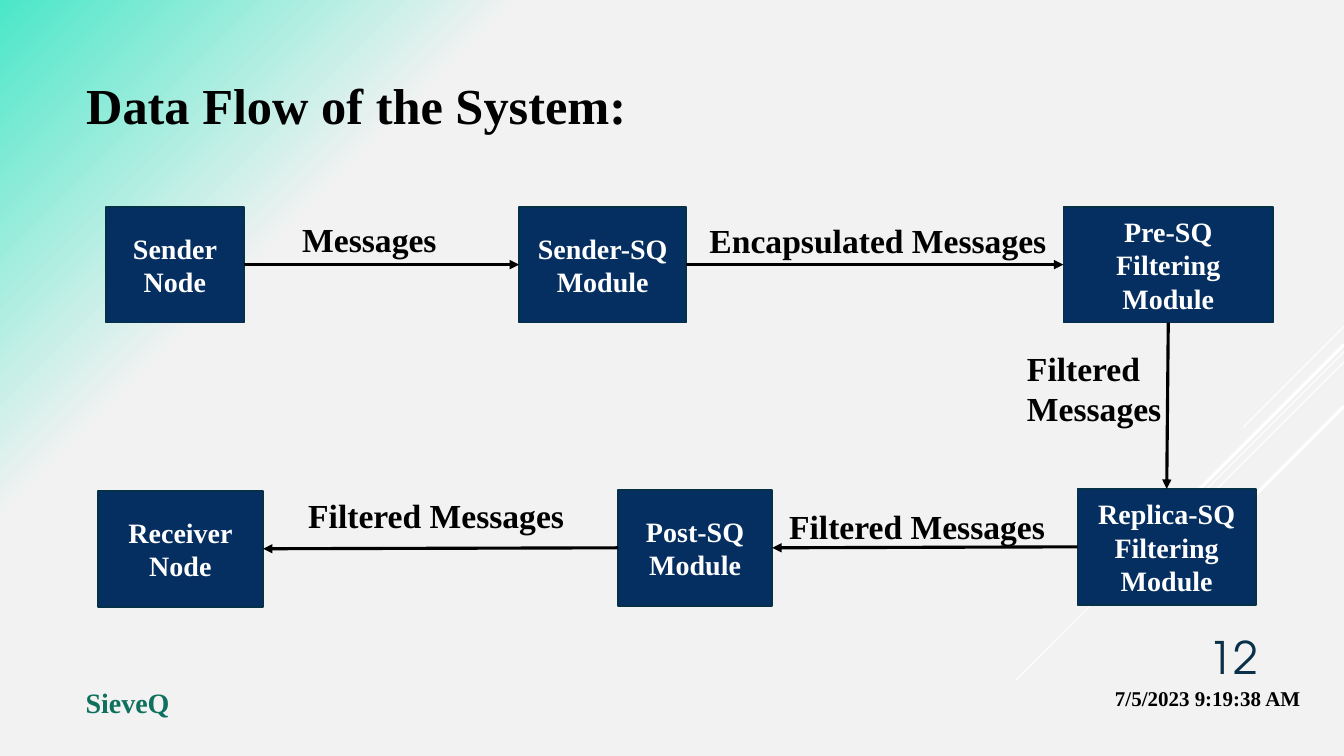
from pptx import Presentation
from pptx.dml.color import RGBColor
from pptx.enum.shapes import MSO_CONNECTOR as Link, MSO_SHAPE as Preset
from pptx.enum.text import MSO_ANCHOR as Anchor, MSO_AUTO_SIZE as Fit, PP_ALIGN as Align
from pptx.oxml import parse_xml
from pptx.oxml.ns import nsdecls, qn
from pptx.util import Pt

COLORS = {
    "ground": "F2F2F2", "mint": "4BE7C8", "white": "FFFFFF", "black": "000000",
    "navy": "052F61", "edge": "043148", "green": "0F705D", "number": "0A304A",
}
SERIF = "Times New Roman"
WIDTH, HEIGHT = 960, 540
TOP, LEFT, BOTTOM, RIGHT = range(4)
NODE_HEIGHT = 82.8


def color(key):
    return RGBColor.from_string(COLORS[key])


def write(frame, text, size, ink, align=Align.LEFT, font=SERIF, bold=True):
    frame.text = text
    for paragraph in frame.paragraphs:
        paragraph.alignment = align
        paragraph.font.name = font
        paragraph.font.size = Pt(size)
        paragraph.font.bold = bold
        paragraph.font.color.rgb = color(ink)


def add_label(slide, box, text, size, ink, **style):
    frame = slide.shapes.add_textbox(*map(Pt, box)).text_frame
    frame.word_wrap = True
    write(frame, text, size, ink, **style)
    return frame


def add_line(slide, ends, ink, weight):
    line = slide.shapes.add_connector(Link.STRAIGHT, *map(Pt, ends))
    line.line.color.rgb = color(ink)
    line.line.width = Pt(weight)
    line.element.spPr.append(parse_xml(f"<a:effectLst {nsdecls('a')}/>"))
    return line


def add_backdrop(slide, box):
    left, top, width, height = box
    slide.background.fill.gradient()
    gradient = slide.element.find(f".//{qn('p:bgPr')}/{qn('a:gradFill')}")
    stops = "".join(
        f'<a:gs pos="{place * 1000}"><a:srgbClr val="{COLORS[key]}"/></a:gs>'
        for place, key in ((75, "ground"), (100, "mint")))
    gradient.getparent().replace(gradient, parse_xml(
        f'<a:gradFill {nsdecls("a")} rotWithShape="1"><a:gsLst>{stops}</a:gsLst>'
        '<a:path path="circle"><a:fillToRect l="100000" t="100000"/></a:path>'
        '<a:tileRect r="-100000" b="-100000"/></a:gradFill>'))
    right = left + width
    for start, reach, weight in ((233.3, 72, 0.75), (251.3, 234.7, 0.75), (258.5, 149, 0.75),
                                 (246.2, 137.5, 2.25), (290.2, 100, 2.25)):
        y = top + start
        add_line(slide, (right, y, right - reach, y + reach), "white", weight)


def add_title(slide, box):
    title = slide.shapes.title
    title.left, title.top, title.width, title.height = map(Pt, box)
    frame = title.text_frame
    frame.word_wrap = True
    frame.auto_size = Fit.SHAPE_TO_FIT_TEXT
    write(frame, "Data Flow of the System:", 36, "black", Align.CENTER)
    outline = parse_xml(
        f'<a:ln {nsdecls("a")} w="{Pt(0.75)}"><a:solidFill>'
        f'<a:srgbClr val="{COLORS["black"]}"/></a:solidFill></a:ln>')
    title.element.find(f".//{qn('a:r')}").get_or_add_rPr().insert(0, outline)


def add_node(slide, box, text):
    node = slide.shapes.add_shape(Preset.RECTANGLE, *map(Pt, box))
    node.shadow.inherit = False
    node.fill.solid()
    node.fill.fore_color.rgb = color("navy")
    node.line.color.rgb = color("edge")
    node.line.width = Pt(1.25)
    node.text_frame.word_wrap = True
    node.text_frame.vertical_anchor = Anchor.MIDDLE
    write(node.text_frame, text, 20, "white", Align.CENTER)
    return node


def add_flow(slide, box):
    left, top, width, height = box
    nodes = [
        add_node(slide, (left + x, top + y, node_width, NODE_HEIGHT), text)
        for text, x, y, node_width in (
            ("Sender Node", 5.8, 0, 98.6),
            ("Sender-SQ Module", 301, 0, 119.5),
            ("Pre-SQ Filtering Module", 689.8, 0, 149.8),
            ("Replica-SQ Filtering Module", 699.9, 201.6, 127.4),
            ("Post-SQ Module", 371.6, 202.3, 110.2),
            ("Receiver Node", 0, 203, 118.1))
    ]
    sides = ((RIGHT, LEFT), (RIGHT, LEFT), (BOTTOM, TOP), (LEFT, RIGHT), (LEFT, RIGHT))
    for source, target, (leave, enter) in zip(nodes, nodes[1:], sides):
        arrow = add_line(slide, (0, 0, 0, 0), "black", 2.25)
        arrow.begin_connect(source, leave)
        arrow.end_connect(target, enter)
        arrow.line._get_or_add_ln().append(
            parse_xml(f'<a:tailEnd {nsdecls("a")} type="triangle"/>'))
    for text, x, y, label_width, label_height in (
            ("Messages", 139, 5, 111.6, 36),
            ("Encapsulated Messages", 429.9, 5.8, 257.8, 36),
            ("Filtered\nMessages", 656.7, 97.2, 111.6, 65.5),
            ("Filtered Messages", 486.8, 210.2, 198.7, 36),
            ("Filtered Messages", 143.3, 202.3, 198.7, 36)):
        frame = add_label(slide, (left + x, top + y, label_width, label_height),
                          text, 24, "black")
        frame.word_wrap = False
        frame.auto_size = Fit.SHAPE_TO_FIT_TEXT


def add_footer(slide, box):
    left, top, width, height = box
    line_top = top + 46.8
    add_label(slide, (left, line_top, 594, 28.8), "SieveQ", 20, "green")
    add_label(slide, (left + width - 156.2, line_top, 156.2, 28.8),
              "7/5/2023 9:19:38 AM", 15, "black", align=Align.RIGHT)
    number = add_label(slide, (left + 761.8, top, 90, 52.6), "12", 32, "number",
                       align=Align.RIGHT, font="TeX Gyre Adventor", bold=False)
    number.vertical_anchor = Anchor.BOTTOM


deck = Presentation()
deck.slide_width, deck.slide_height = Pt(WIDTH), Pt(HEIGHT)
slide = deck.slides.add_slide(deck.slide_layouts[5])
add_backdrop(slide, (0, 0, WIDTH, HEIGHT))
add_title(slide, (46.8, 49, 415.4, 51))
add_flow(slide, (69.8, 147.6, 839.6, 285.8))
add_footer(slide, (54, 439.2, 882, 75.6))
deck.save("out.pptx")
